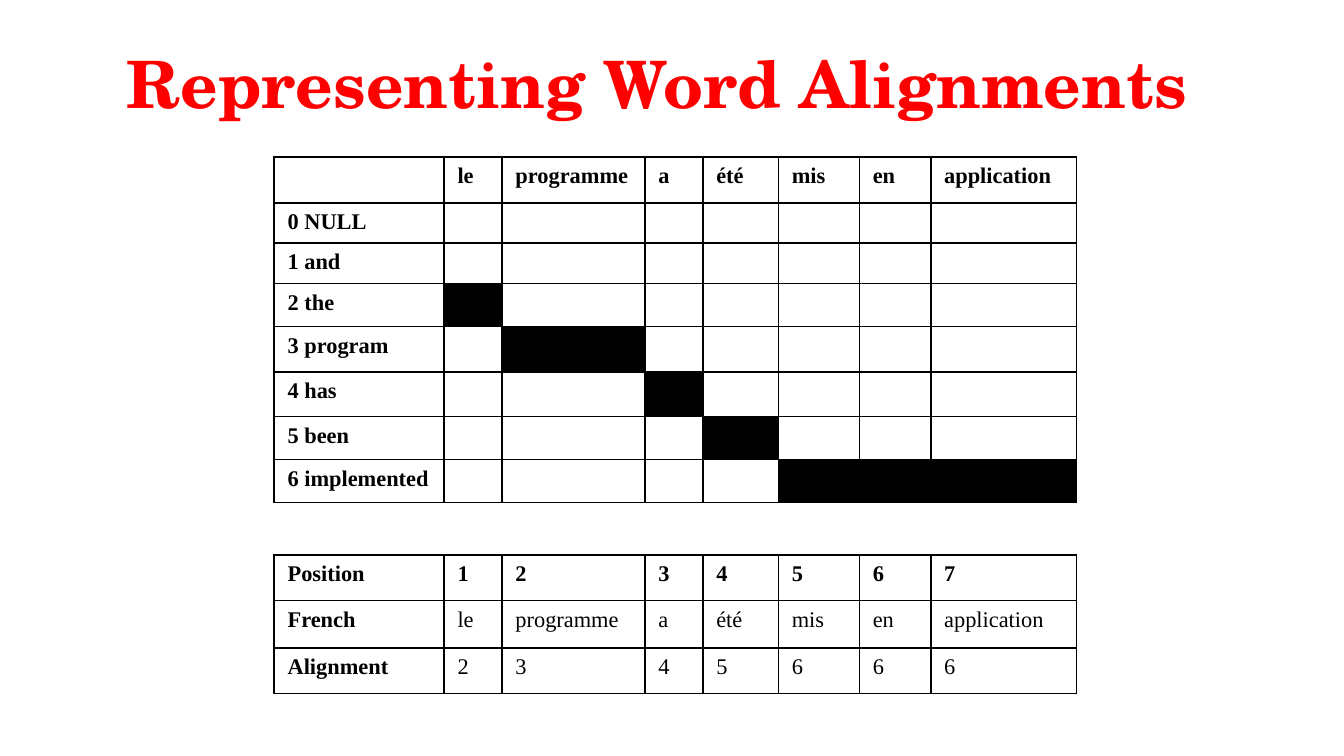
from lxml import etree
from pptx import Presentation
from pptx.dml.color import RGBColor
from pptx.enum.text import MSO_ANCHOR, PP_ALIGN
from pptx.oxml.ns import qn
from pptx.util import Inches, Pt

BLACK, RED = "000000", "FF0000"
FRENCH = ["le", "programme", "a", "été", "mis", "en", "application"]
ENGLISH = ["NULL", "and", "the", "program", "has", "been", "implemented"]
ALIGNMENT = [2, 3, 4, 5, 6, 6, 6]
TABLE_WIDTH = 5.97
COLUMN_SHARES = [1.26, 0.43, 1.06, 0.43, 0.56, 0.6, 0.53, 1.08]


def color(hex_value):
    return RGBColor.from_string(hex_value)


def add_grid(top, row_heights, texts, is_bold, is_filled):
    """Add a black-ruled table; the two rules take a row and a column."""
    table = slide.shapes.add_table(
        len(texts), len(COLUMN_SHARES), Inches(2.04), Inches(top),
        Inches(TABLE_WIDTH), Inches(sum(row_heights))).table
    table.first_row = table.horz_banding = False
    for column, share in zip(table.columns, COLUMN_SHARES):
        column.width = Inches(TABLE_WIDTH * share / sum(COLUMN_SHARES))
    for r, height in enumerate(row_heights):
        table.rows[r].height = Inches(height)
        for c, text in enumerate(texts[r]):
            cell = table.cell(r, c)
            cell.margin_right = Inches(0.05)
            paragraph = cell.text_frame.paragraphs[0]
            if text:
                run = paragraph.add_run()
                run.text = text
                run.font.name = "Times New Roman"
                run.font.size = Pt(12)
                run.font.bold = is_bold(r, c)
                run.font.color.rgb = color(BLACK)
            else:
                # Keeps an empty cell from stretching its row
                etree.SubElement(paragraph._p, qn("a:endParaRPr"), sz="1200")
            # Borders come before the fill in the cell properties
            properties = cell._tc.get_or_add_tcPr()
            for side in ("a:lnL", "a:lnR", "a:lnT", "a:lnB"):
                line = etree.SubElement(properties, qn(side), w=str(Pt(1)))
                paint = etree.SubElement(line, qn("a:solidFill"))
                etree.SubElement(paint, qn("a:srgbClr"), val=BLACK)
            if is_filled(r, c):
                cell.fill.solid()
                cell.fill.fore_color.rgb = color(BLACK)
            else:
                cell.fill.background()


# Widescreen slide, 16:9
prs = Presentation()
prs.slide_width = Inches(10)
prs.slide_height = Inches(10 * 9 / 16)
slide = prs.slides.add_slide(prs.slide_layouts[6])

# Title
title = slide.shapes.add_textbox(
    Inches(0.28), Inches(0.27), Inches(9.22), Inches(0.77)).text_frame
title.word_wrap = True
title.vertical_anchor = MSO_ANCHOR.TOP
title.paragraphs[0].alignment = PP_ALIGN.CENTER
title_run = title.paragraphs[0].add_run()
title_run.text = "Representing Word Alignments"
title_run.font.name = "TeX Gyre Schola"
title_run.font.size = Pt(35)
title_run.font.bold = True
title_run.font.color.rgb = color(RED)

# Alignment matrix: a French word's column is black in its English word's row
matrix = [[""] + FRENCH]
matrix += [[f"{i} {word}"] + [""] * len(FRENCH)
           for i, word in enumerate(ENGLISH)]
add_grid(1.17, [0.34, 0.3, 0.3, 0.32, 0.34, 0.33, 0.32, 0.32], matrix,
         is_bold=lambda r, c: True,
         is_filled=lambda r, c: c > 0 and ALIGNMENT[c - 1] == r - 1)

# Alignment vector
vector = [
    ["Position"] + [str(i + 1) for i in range(len(FRENCH))],
    ["French"] + FRENCH,
    ["Alignment"] + [str(i) for i in ALIGNMENT],
]
add_grid(4.13, [0.34, 0.35, 0.34], vector,
         is_bold=lambda r, c: r == 0 or c == 0,
         is_filled=lambda r, c: False)

prs.save("out.pptx")
